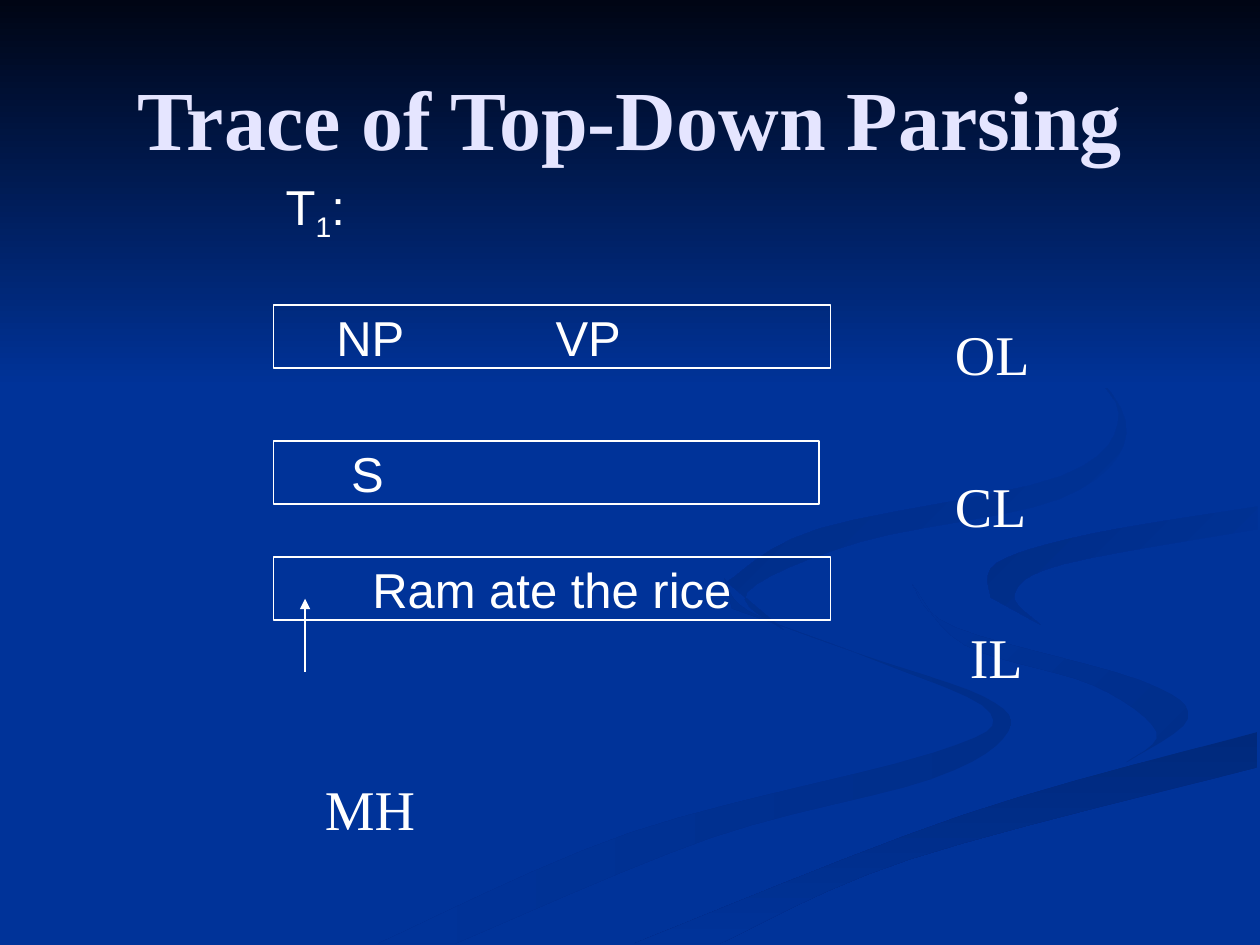
from lxml import etree
from pptx import Presentation
from pptx.dml.color import RGBColor
from pptx.enum.shapes import MSO_CONNECTOR, MSO_SHAPE
from pptx.enum.text import MSO_ANCHOR, MSO_AUTO_SIZE, PP_ALIGN
from pptx.oxml.ns import qn
from pptx.util import Cm, Pt

RECTANGLE = MSO_SHAPE.RECTANGLE
STRAIGHT = MSO_CONNECTOR.STRAIGHT
MIDDLE, TOP = MSO_ANCHOR.MIDDLE, MSO_ANCHOR.TOP
LEFT, CENTER = PP_ALIGN.LEFT, PP_ALIGN.CENTER
NO_AUTOFIT = MSO_AUTO_SIZE.NONE

COLORS = {"blue": "003399", "night": "000514", "title": "E5E5FF", "white": "FFFFFF",
          "shade": "002E8A", "deep": "00297C", "dusk": "002C85", "dark": "002B81"}
SERIF, SANS = "Times New Roman", "Arial"

# Ribbons: first colour, last colour, angle, and the two edges (knots in inches)
RIBBONS = [
    ("shade", "blue", 180,
     [(5.75, 4.59), (5.94, 4.85), (6.82, 5.19), (7.81, 5.53), (8, 5.81), (7.4, 6.18),
      (5.64, 6.65), (3.61, 7.49)],
     [(3, 7.49), (5, 6.61), (7.39, 5.98), (7.86, 5.66), (6.97, 5.25), (5.81, 4.83)]),
    ("shade", "blue", 225,
     [(7.24, 4.64), (7.58, 4.98), (9.05, 5.4), (9.43, 5.7), (8.94, 6.05)],
     [(8.94, 6.05), (9.18, 5.81), (8.68, 5.44), (7.66, 5.12), (7.24, 4.64)]),
    ("deep", "blue", 90,
     [(9.98, 5.81), (7.64, 6.47), (5.03, 7.49)],
     [(5.71, 7.49), (7.22, 6.82), (9.98, 6.09)]),
    ("blue", "dusk", 225,
     [(8.26, 4.96), (8.05, 4.72), (8.43, 4.48), (9.98, 4.2)],
     [(9.98, 4.02), (8.65, 4.24), (7.91, 4.47), (7.86, 4.74)]),
    ("blue", "dark", 225,
     [(7.62, 2.33), (8.54, 2.83), (8.94, 3.44), (8.41, 3.96), (6.83, 4.3), (5.93, 4.7),
      (6.22, 5)],
     [(5.77, 4.62), (6.49, 4.2), (8.42, 3.78), (8.88, 3.28), (8.46, 2.79)]),
]


def color(name):
    return RGBColor.from_string(COLORS[name])


def smooth_edge(knots, steps=6):
    """Catmull-Rom curve through the knots, as lengths on the slide."""
    padded = [knots[0], *knots, knots[-1]]
    points = [knots[0]]
    for corners in zip(padded, padded[1:], padded[2:], padded[3:]):
        for step in range(1, steps + 1):
            t = step / steps
            points.append(tuple(
                b + (t * (c - a) + t**2 * (2 * a - 5 * b + 4 * c - d)
                     + t**3 * (3 * b - a - 3 * c + d)) / 2
                for a, b, c, d in zip(*corners)))
    return [(Cm(x * 2.54), Cm(y * 2.54)) for x, y in points]


class SlideBuilder:
    def __init__(self, deck):
        self.slide = deck.slides.add_slide(deck.slide_layouts[1])
        self.shapes = self.slide.shapes
        fill = self.slide.background.fill
        fill.solid()
        fill.fore_color.rgb = color("blue")

    def gradient(self, shape, first, last, angle):
        shape.shadow.inherit = False
        shape.line.fill.background()
        shape.fill.gradient()
        shape.fill.gradient_angle = (360 - angle) % 360
        for stop, name, position in zip(shape.fill.gradient_stops, (first, last), (0, 1)):
            stop.color.rgb = color(name)
            stop.position = position

    def ribbon(self, first, last, angle, *edges):
        points = [point for edge in edges for point in smooth_edge(edge)]
        outline = self.shapes.build_freeform(*points[0])
        outline.add_line_segments(points[1:], close=True)
        self.gradient(outline.convert_to_shape(), first, last, angle)

    def sky(self, width, height):
        band = self.shapes.add_shape(RECTANGLE, 0, 0, Cm(width), Cm(height))
        self.gradient(band, "night", "blue", 90)

    def frame(self, box, anchor, left=0.25, top=0.13):
        settings = {"word_wrap": True, "auto_size": NO_AUTOFIT, "vertical_anchor": anchor,
                    "margin_left": Cm(left), "margin_right": Cm(0.25),
                    "margin_top": Cm(top), "margin_bottom": Cm(0.13)}
        for name, value in settings.items():
            setattr(box.text_frame, name, value)
        return box.text_frame

    def format(self, para, size, face, tint="white", align=LEFT, bold=False):
        para.alignment = align
        for name, value in {"size": Pt(size), "name": face, "bold": bold}.items():
            setattr(para.font, name, value)
        para.font.color.rgb = color(tint)

    def placeholder(self, index, left, top, width, height):
        box = self.slide.placeholders[index]
        box.left, box.top, box.width, box.height = map(Cm, (left, top, width, height))
        self.shapes._spTree.append(box._element)  # in front of the scenery
        return box

    def title(self, text, *place):
        para = self.frame(self.placeholder(0, *place), MIDDLE).paragraphs[0]
        para.text = text
        self.format(para, 48, SERIF, "title", CENTER, True)

    def labels(self, entries, *place):
        text_frame = self.frame(self.placeholder(1, *place), TOP, top=1.88)
        for number, (text, indent) in enumerate(entries):
            para = text_frame.add_paragraph() if number else text_frame.paragraphs[0]
            para.text = text
            para.line_spacing = 0.9
            para.space_before = Pt(52 if number else 0)
            properties = para._p.get_or_add_pPr()
            properties.set("marL", str(Cm(indent)))
            properties.set("indent", "0")
            etree.SubElement(properties, qn("a:buNone"))
            self.format(para, 32, SERIF)

    def tape(self, text, top, width, left_margin=0.25, align=LEFT, tab=None):
        box = self.shapes.add_shape(RECTANGLE, Cm(5.51), Cm(top), Cm(width), Cm(1.27))
        box.shadow.inherit = False
        box.fill.background()
        box.line.color.rgb = color("white")
        box.line.width = Pt(0.75)
        para = self.frame(box, MIDDLE, left_margin).paragraphs[0]
        para.text = text
        if tab:
            tabs = etree.SubElement(para._p.get_or_add_pPr(), qn("a:tabLst"))
            etree.SubElement(tabs, qn("a:tab"), pos=str(Cm(tab)), algn="l")
        self.format(para, 28, SANS, align=align)

    def step(self, letter, number, *place):
        box = self.shapes.add_textbox(*map(Cm, place))
        para = self.frame(box, MIDDLE).paragraphs[0]
        for text in (letter, number, ":"):
            span = para.add_run()
            span.text = text
            if text == number:
                span.font._element.set("baseline", "-25000")
        self.format(para, 28, SANS)

    def arrow(self, *ends):
        connector = self.shapes.add_connector(STRAIGHT, *map(Cm, ends))
        connector.line.color.rgb = color("white")
        connector.line.width = Pt(0.75)
        properties = connector._element.spPr
        etree.SubElement(properties.find(qn("a:ln")), qn("a:tailEnd"), type="triangle")
        etree.SubElement(properties, qn("a:effectLst"))


def main():
    deck = Presentation()
    deck.slide_width, deck.slide_height = Cm(25.4), Cm(19.05)
    page = SlideBuilder(deck)

    # Scenery
    for ribbon in RIBBONS:
        page.ribbon(*ribbon)
    page.sky(25.4, 7.82)

    # Title and list names
    page.title("Trace of Top-Down Parsing", 1.27, 0.76, 22.86, 3.18)
    page.labels([("OL", 17.3), ("CL", 17.3), ("IL", 17.6), ("MH", 4.6)],
                1.7, 4.72, 22.86, 12.57)

    # Open list, closed list and input list
    page.tape("NP\tVP", 6.15, 11.23, left_margin=1.27, tab=4.42)
    page.tape("S", 8.89, 11, left_margin=1.57)
    page.tape("Ram ate the rice", 11.23, 11.23, align=CENTER)

    # Reading head and step name
    page.arrow(6.15, 13.54, 6.15, 12.07)
    page.step("T", "1", 5.51, 3.43, 11, 1.6)
    deck.save("out.pptx")


if __name__ == "__main__":
    main()
